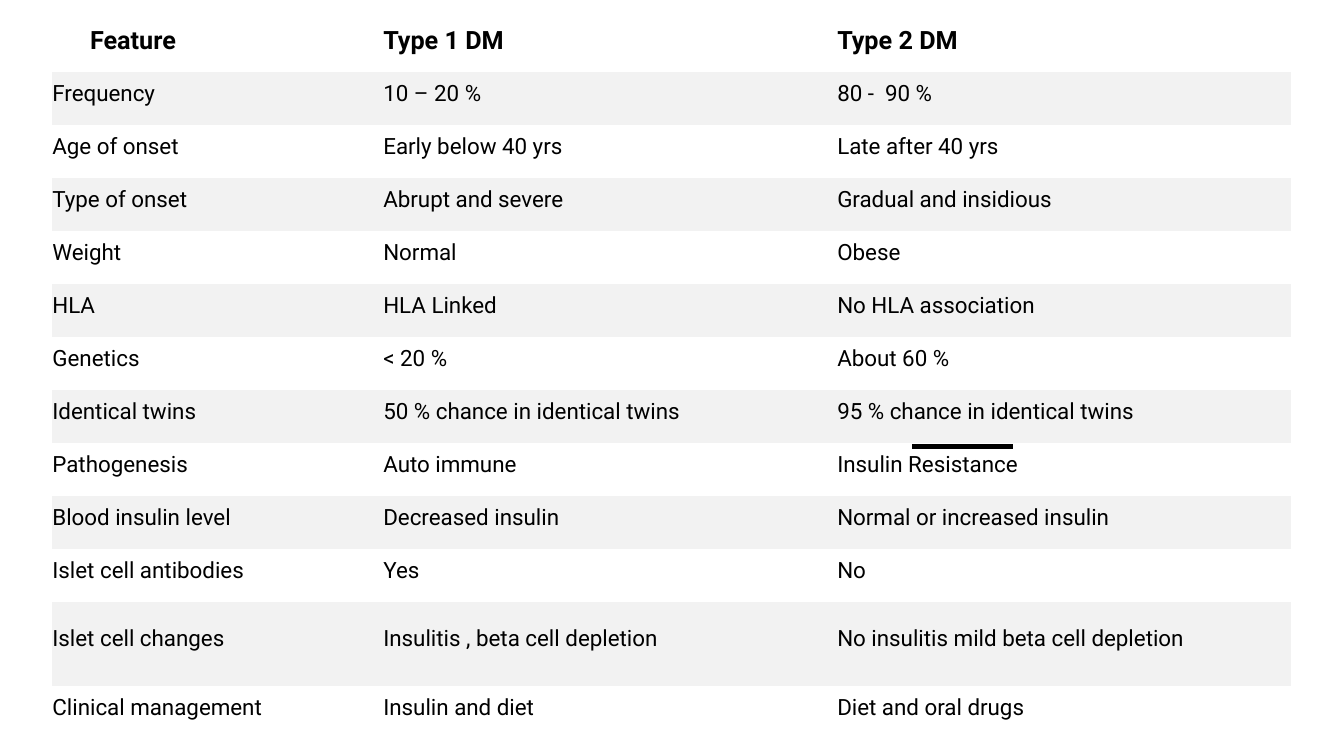
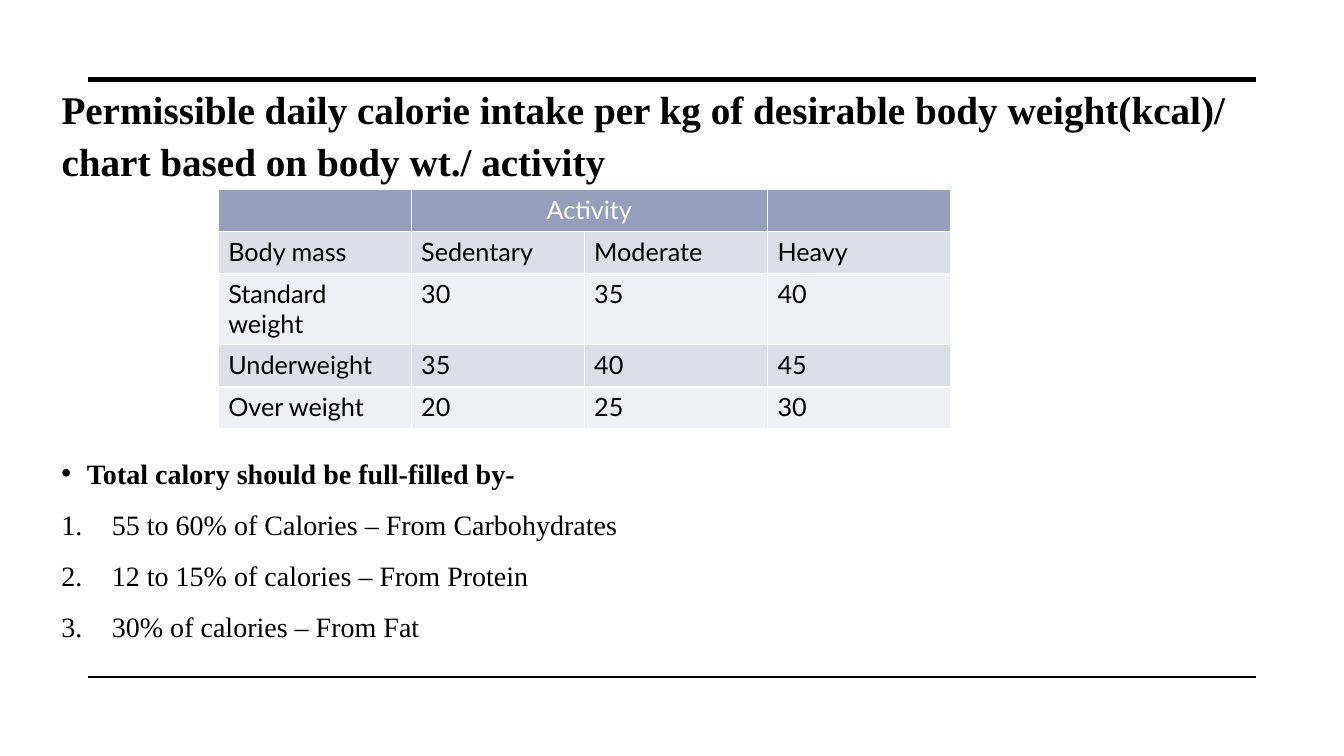
from lxml import etree
from pptx import Presentation
from pptx import util as u
from pptx.dml.color import RGBColor
from pptx.enum import shapes, text
from pptx.oxml import ns

# Shared look
BLACK = RGBColor(0x00, 0x00, 0x00)
WHITE = RGBColor(0xFF, 0xFF, 0xFF)
GREY = RGBColor(0xF2, 0xF2, 0xF2)
BLUE = RGBColor(0x95, 0x9E, 0xBB)
MIST = RGBColor(0xDD, 0xDF, 0xE7)
PALE = RGBColor(0xEF, 0xF0, 0xF3)
SANS, GRID, SERIF = "Roboto", "Lato", "Times New Roman"
THICK, THIN = 3.5, 1
LEAD = 1.1
PLAIN = "{2D5ABB26-0587-4C30-8999-92F81FD0307C}"
TOP, MID = text.MSO_ANCHOR.TOP, text.MSO_ANCHOR.MIDDLE
LEFT, CENTER = text.PP_ALIGN.LEFT, text.PP_ALIGN.CENTER

TYPES = [
    ("Feature", "Type 1 DM", "Type 2 DM"),
    ("Frequency", "10 – 20 %", "80 -  90 %"),
    ("Age of onset", "Early below 40 yrs", "Late after 40 yrs"),
    ("Type of onset", "Abrupt and severe", "Gradual and insidious"),
    ("Weight", "Normal", "Obese"),
    ("HLA", "HLA Linked", "No HLA association"),
    ("Genetics", "< 20 %", "About 60 %"),
    ("Identical twins", "50 % chance in identical twins",
     "95 % chance in identical twins"),
    ("Pathogenesis", "Auto immune", "Insulin Resistance"),
    ("Blood insulin level", "Decreased insulin",
     "Normal or increased insulin"),
    ("Islet cell antibodies", "Yes", "No"),
    ("Islet cell changes", "Insulitis , beta cell depletion",
     "No insulitis mild beta cell depletion"),
    ("Clinical management", "Insulin and diet", "Diet and oral drugs"),
]
NEEDS = [
    ("", "Activity", "", ""),
    ("Body mass", "Sedentary", "Moderate", "Heavy"),
    ("Standard weight", "30", "35", "40"),
    ("Underweight", "35", "40", "45"),
    ("Over weight", "20", "25", "30"),
]
TITLE = ("Permissible daily calorie intake per kg of desirable body "
         "weight(kcal)/ chart based on body wt./ activity")
SHARES = [
    "55 to 60% of Calories – From Carbohydrates",
    "12 to 15% of calories – From Protein",
    "30% of calories – From Fat",
]


def sub(node, tag, **attrs):
    """Append one XML child."""
    return etree.SubElement(node, ns.qn(tag), attrs)


def write(para, words, font=SERIF, size=20, color=BLACK, bold=False,
          align=LEFT, lead=None, before=None, mark=None, indent=0):
    """Set the text and format of one paragraph."""
    if mark:
        props = para._p.get_or_add_pPr()
        hang = u.Cm(indent)
        props.set("marL", str(hang))
        props.set("indent", str(-hang))
        if mark == "1.":
            sub(props, "a:buAutoNum", type="arabicPeriod")
        else:
            sub(props, "a:buFont", typeface="Arial")
            sub(props, "a:buChar", char=mark)
    para.alignment = align
    if lead:
        para.line_spacing = lead
    if before:
        para.space_before = u.Pt(before)
    if words:
        run = para.add_run()
        run.text = words
        run.font.name, run.font.size = font, u.Pt(size)
        run.font.bold, run.font.color.rgb = bold, color


def rule(slide, left, top, width, weight):
    """Draw a black horizontal line."""
    line = slide.shapes.add_connector(
        shapes.MSO_CONNECTOR.STRAIGHT, u.Cm(left), u.Cm(top),
        u.Cm(left + width), u.Cm(top))
    line.line.color.rgb, line.line.width = BLACK, u.Pt(weight)
    sub(line._element.spPr, "a:effectLst")


def grid(slide, left, top, cols, rows):
    """Add a table without style, with the given sizes in cm."""
    table = slide.shapes.add_table(
        len(rows), len(cols), u.Cm(left), u.Cm(top),
        u.Cm(sum(cols)), u.Cm(sum(rows))).table
    table.first_row = table.horz_banding = False
    table._tbl.tblPr.find(ns.qn("a:tableStyleId")).text = PLAIN
    for col, width in zip(table.columns, cols):
        col.width = u.Cm(width)
    for row, height in zip(table.rows, rows):
        row.height = u.Cm(height)
    return table


def edge(cell, color, weight):
    """Give a cell the same border on all sides."""
    props = cell._tc.get_or_add_tcPr()
    for side in "LRTB":
        line = sub(props, "a:ln" + side, w=str(u.Pt(weight)))
        sub(sub(line, "a:solidFill"), "a:srgbClr", val=str(color))


def paint(cell, color):
    """Fill a cell, or leave it clear."""
    if color is None:
        cell.fill.background()
    else:
        cell.fill.solid()
        cell.fill.fore_color.rgb = color


def compare(slide, left, top, height):
    """Table of the two types, with one taller row."""
    tall, count = 2.12, len(TYPES)
    rows = [(height - tall) / (count - 1)] * count
    rows[-2] = tall
    table = grid(slide, left, top, (8.34, 11.44, 11.44), rows)
    for r, row in enumerate(TYPES):
        for c, words in enumerate(row):
            cell = table.cell(r, c)
            cell.margin_left = u.Cm(0 if r or c else 0.95)
            cell.margin_right = cell.margin_top = 0
            cell.margin_bottom = u.Cm(0.23)
            cell.vertical_anchor = MID
            paint(cell, GREY if r % 2 else None)
            write(cell.text_frame.paragraphs[0], words, font=SANS,
                  size=16 if r else 18, bold=not r)


def needs(slide, left, top):
    """Table of calories by body mass and activity."""
    table = grid(slide, left, top, (4.86, 4.36, 4.62, 4.62),
                 (1.06, 1.06, 1.79, 1.06, 1.06))
    table.cell(0, 1).merge(table.cell(0, 2))
    for r, row in enumerate(NEEDS):
        for c, words in enumerate(row):
            cell = table.cell(r, c)
            edge(cell, WHITE, 1)
            paint(cell, (MIST if r % 2 else PALE) if r else BLUE)
            write(cell.text_frame.paragraphs[0], words, font=GRID, size=18,
                  color=BLACK if r else WHITE, align=LEFT if r else CENTER)


def place(shape, left, top, width, height):
    """Place a text shape and return its frame, wrapped and top anchored."""
    shape.left, shape.top = u.Cm(left), u.Cm(top)
    shape.width, shape.height = u.Cm(width), u.Cm(height)
    frame = shape.text_frame
    frame.word_wrap, frame.auto_size = True, text.MSO_AUTO_SIZE.NONE
    frame.vertical_anchor = TOP
    frame.margin_left = frame.margin_right = u.Cm(0.25)
    frame.margin_top = frame.margin_bottom = 0
    return frame


def head(slide, left, top, width):
    """Slide title."""
    frame = place(slide.shapes.title, left, top, width, 2.7)
    write(frame.paragraphs[0], TITLE, size=28, bold=True, lead=LEAD)


def split(slide, left, top, width):
    """Bulleted lead line and numbered shares."""
    frame = place(slide.shapes.add_textbox(0, 0, 0, 0),
                  left, top, width, 5.2)
    write(frame.paragraphs[0], "Total calory should be full-filled by-",
          bold=True, lead=LEAD, mark="•", indent=0.64)
    for words in SHARES:
        write(frame.add_paragraph(), words, lead=LEAD, before=10,
              mark="1.", indent=1.27)


def types(deck):
    """Slide: comparison of the two types."""
    slide = deck.slides.add_slide(deck.slide_layouts[6])
    rule(slide, 22.99, 11.25, 2.54, THICK)
    compare(slide, 1.32, 0.48, 18.14)


def intake(deck):
    """Slide: daily calorie intake."""
    slide = deck.slides.add_slide(deck.slide_layouts[5])
    rule(slide, 2.23, 2.01, 29.41, THICK)
    rule(slide, 2.23, 17.06, 29.41, THIN)
    head(slide, 1.3, 2.03, 30.15)
    needs(slide, 5.5, 4.78)
    split(slide, 1.3, 11.42, 30.15)


def main():
    deck = Presentation()
    deck.slide_width, deck.slide_height = u.Cm(33.87), u.Cm(19.05)
    types(deck)
    intake(deck)
    deck.save("out.pptx")


if __name__ == "__main__":
    main()
